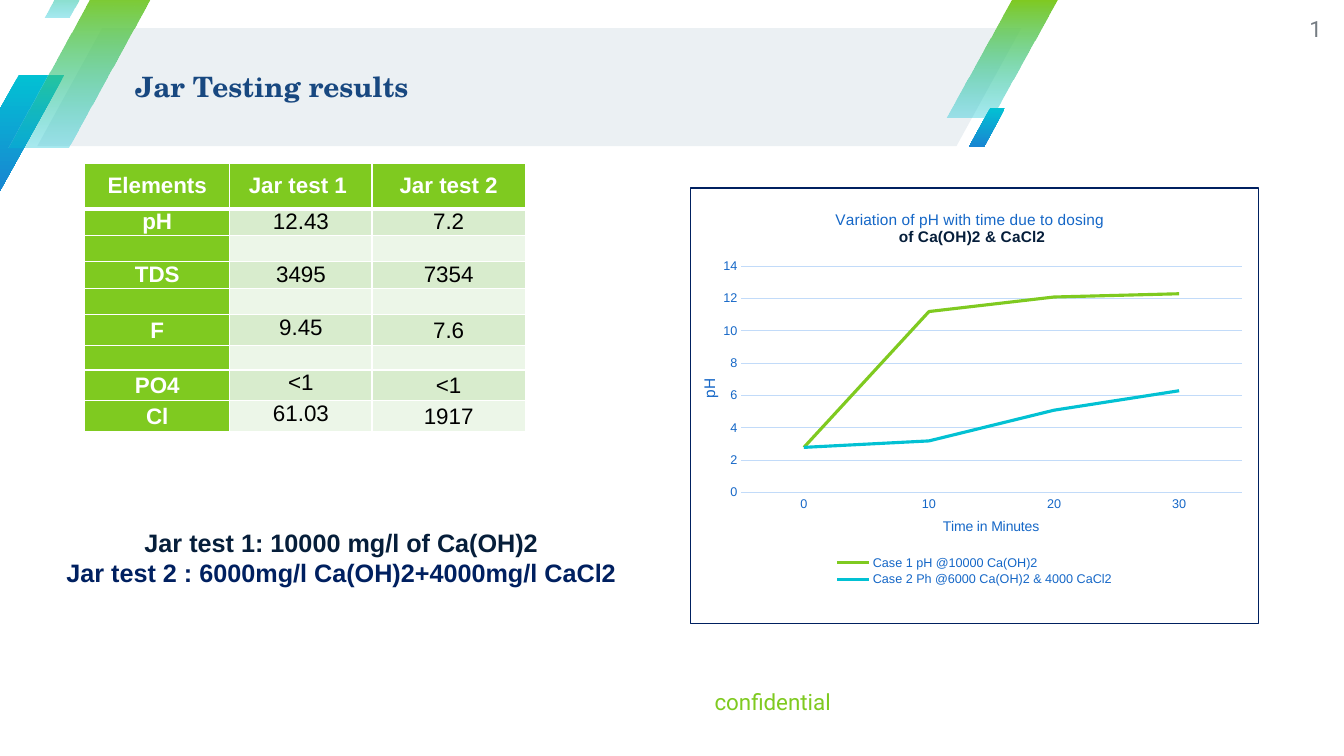
from dataclasses import dataclass

from pptx import Presentation
from pptx.chart.data import CategoryChartData as ChartData
from pptx.dml.color import RGBColor as Rgb
from pptx.enum.chart import XL_CHART_TYPE as Kind, XL_LEGEND_POSITION as Side, XL_TICK_MARK as Tick
from pptx.enum.shapes import MSO_SHAPE as Shape
from pptx.enum.text import MSO_ANCHOR as Anchor, PP_ALIGN as Align
from pptx.oxml import parse_xml
from pptx.oxml.ns import nsdecls, qn
from pptx.util import Inches, Pt

GREEN, TEAL, BLUE, GRID = "7FCA20", "02C1D3", "1567C7", "C2DBF9"
NAVY, WHITE, BLACK = "061E3A", "FFFFFF", "000000"


@dataclass
class Box:
    x: float
    y: float
    w: float
    h: float

    def inch(self) -> tuple:
        return Inches(self.x), Inches(self.y), Inches(self.w), Inches(self.h)


@dataclass
class Style:
    size: float
    ink: str
    bold: bool = False
    face: str = "Arial"


@dataclass
class Slant:
    box: Box
    skew: float
    top: str
    base: str
    clear: int = 100


@dataclass
class Trend:
    name: str
    ink: str
    vals: tuple


SLANTS = [
    Slant(Box(0.37, 0.28, 9.76, 1.17), 0.55, "EBF0F3", "EBF0F3"),
    Slant(Box(-0.46, 0.74, 1.1, 1.17), 0.59, TEAL, "1985D2"),
    Slant(Box(9.39, 0, 1.1, 1.17), 0.59, GREEN, TEAL, 34),
    Slant(Box(0.08, -0.1, 1.46, 1.56), 0.59, GREEN, TEAL, 34),
    Slant(Box(0.44, -0.48, 0.61, 0.65), 0.59, GREEN, TEAL, 34),
    Slant(Box(9.61, 1.07, 0.36, 0.39), 0.59, TEAL, "1985D2"),
]
TESTS = [
    ("Elements", "Jar test 1 ", "Jar test 2"),
    ("pH", "12.43", "7.2"),
    ("", "", ""),
    ("TDS", "3495", "7354"),
    ("", "", ""),
    ("F", "9.45", "7.6"),
    ("", "", ""),
    ("PO4", "<1", "<1"),
    ("Cl", "61.03", "1917"),
]
WIDTHS = (1.44, 1.41, 1.52)
HEIGHTS = (0.45, 0.26, 0.26, 0.26, 0.26, 0.28, 0.24, 0.29, 0.28)
TRENDS = [
    Trend("Case 1 pH @10000 Ca(OH)2", GREEN, (2.8, 11.2, 12.1, 12.3)),
    Trend("Case 2 Ph @6000 Ca(OH)2 & 4000 CaCl2", TEAL, (2.8, 3.2, 5.1, 6.3)),
]


def tint(code: str) -> Rgb:
    return Rgb.from_string(code)


def dress(font, style: Style) -> None:
    font.size, font.bold, font.name = Pt(style.size), style.bold, style.face
    font.color.rgb = tint(style.ink)


def write(frame, lines: list, align=None) -> None:
    for i, (text, style) in enumerate(lines):
        para = frame.paragraphs[0] if i == 0 else frame.add_paragraph()
        para.alignment = align
        run = para.add_run()
        run.text = text
        dress(run.font, style)


def trim(frame, pad: float, anchor) -> None:
    frame.word_wrap = True
    frame.vertical_anchor = anchor
    frame.margin_left = frame.margin_right = Inches(pad)
    frame.margin_top = frame.margin_bottom = Inches(pad / 2)


def add_text(slide, box: Box, lines: list, align, pad: float = 0, anchor=Anchor.MIDDLE) -> None:
    frame = slide.shapes.add_textbox(*box.inch()).text_frame
    trim(frame, pad, anchor)
    write(frame, lines, align)


def add_slant(slide, item: Slant) -> None:
    shape = slide.shapes.add_shape(Shape.PARALLELOGRAM, *item.box.inch())
    shape.adjustments[0] = item.skew
    shape.shadow.inherit = False
    shape.line.fill.background()
    if item.top == item.base:
        shape.fill.solid()
        shape.fill.fore_color.rgb = tint(item.top)
        return
    shape.fill.gradient()
    shape.fill.gradient_angle = 270
    for stop, code in zip(shape.fill.gradient_stops, (item.top, item.base)):
        stop.color.rgb = tint(code)
    if item.clear < 100:
        last = shape._element.spPr.findall(".//" + qn("a:srgbClr"))[-1]
        last.append(parse_xml(f'<a:alpha {nsdecls("a")} val="{item.clear * 1000}"/>'))


def edge(cell, row: int) -> None:
    thick = {"T": 3 if row == 1 else 1, "B": 3 if row == 0 else 1}
    for i, side in enumerate("LRTB"):
        width = Pt(thick.get(side, 1))
        cell._tc.get_or_add_tcPr().insert(i, parse_xml(
            f'<a:ln{side} {nsdecls("a")} w="{width}"><a:solidFill>'
            f'<a:srgbClr val="{WHITE}"/></a:solidFill></a:ln{side}>'))


def add_grid(slide) -> None:
    box = Box(0.84, 1.62, sum(WIDTHS), sum(HEIGHTS))
    grid = slide.shapes.add_table(len(TESTS), len(WIDTHS), *box.inch()).table
    grid.horz_banding = False
    for col, width in zip(grid.columns, WIDTHS):
        col.width = Inches(width)
    for r, (texts, height) in enumerate(zip(TESTS, HEIGHTS)):
        grid.rows[r].height = Inches(height)
        for c, text in enumerate(texts):
            cell = grid.cell(r, c)
            head = r == 0 or c == 0
            low = r >= 5 and not head
            cell.margin_left = cell.margin_right = Inches(0.03)
            cell.margin_top = cell.margin_bottom = 0
            cell.vertical_anchor = Anchor.TOP if low else Anchor.MIDDLE
            cell.fill.solid()
            cell.fill.fore_color.rgb = tint(GREEN if head else "D8ECCD" if r % 2 else "ECF6E8")
            edge(cell, r)
            para = cell.text_frame.paragraphs[0]
            if text:
                write(cell.text_frame, [(text, Style(16, WHITE if head else BLACK, head))], Align.CENTER)
                if low and c == 2:
                    para.line_spacing = 1.15
            else:
                para._p.append(parse_xml(f'<a:endParaRPr {nsdecls("a")} sz="1000"/>'))


def place(node, x: float, y: float, size: tuple = (), inner: bool = False) -> None:
    old = node.find(qn("c:layout"))
    if old is not None:
        node.remove(old)
    parts = [("xMode", "edge"), ("yMode", "edge"), ("x", x), ("y", y), *zip("wh", size)]
    if inner:
        parts.insert(0, ("layoutTarget", "inner"))
    body = "".join(f'<c:{tag} val="{val}"/>' for tag, val in parts)
    first = node[0].tag if len(node) else ""
    spot = 1 if first in (qn("c:tx"), qn("c:legendPos")) else 0
    node.insert(spot, parse_xml(
        f'<c:layout {nsdecls("c")}><c:manualLayout>{body}</c:manualLayout></c:layout>'))


def add_axis(axis, name: str, size: float, x: float, y: float) -> None:
    write(axis.axis_title.text_frame, [(name, Style(size, BLUE))])
    place(axis.axis_title._element, x, y)
    axis.major_tick_mark = axis.minor_tick_mark = Tick.NONE
    dress(axis.tick_labels.font, Style(9, BLUE))


def rule(line, code: str, width: float) -> None:
    line.color.rgb = tint(code)
    line.width = Pt(width)


def add_plot(slide) -> None:
    data = ChartData()
    data.categories = ["0", "10", "20", "30"]
    for trend in TRENDS:
        data.add_series(trend.name, trend.vals)
    chart = slide.shapes.add_chart(Kind.LINE, *Box(6.84, 1.86, 5.65, 4.33).inch(), data).chart
    dress(chart.font, Style(10, NAVY))
    write(chart.chart_title.text_frame, [
        ("Variation of pH with time due to dosing ", Style(11, BLUE)),
        ("of Ca(OH)2 & CaCl2", Style(11, NAVY, True))], Align.CENTER)
    place(chart.chart_title._element, 0.25, 0.04)
    add_axis(chart.category_axis, "Time in Minutes", 10, 0.44, 0.75)
    add_axis(chart.value_axis, "pH", 11, 0.01, 0.43)
    rule(chart.category_axis.format.line, GRID, 0.75)
    rule(chart.value_axis.major_gridlines.format.line, GRID, 0.75)
    chart.value_axis.format.line.fill.background()
    chart.value_axis.minimum_scale, chart.value_axis.maximum_scale = 0, 14
    chart.value_axis.major_unit = 2
    chart.has_legend = True
    chart.legend.position = Side.BOTTOM
    chart.legend.include_in_layout = False
    dress(chart.legend.font, Style(9, BLUE))
    place(chart.legend._element, 0.25, 0.84, (0.5, 0.08))
    chart.plots[0].vary_by_categories = False
    for line, trend in zip(chart.plots[0].series, TRENDS):
        line.smooth = False
        rule(line.format.line, trend.ink, 2.25)
    root = chart._chartSpace
    place(root.chart.plotArea, 0.09, 0.18, (0.88, 0.52), True)
    root.find(qn("c:txPr")).addprevious(parse_xml(
        f'<c:spPr {nsdecls("c", "a")}><a:noFill/><a:ln w="{Pt(0.75)}"><a:solidFill>'
        '<a:srgbClr val="002060"/></a:solidFill></a:ln></c:spPr>'))


def main() -> None:
    deck = Presentation()
    deck.slide_width, deck.slide_height = Inches(13.33), Inches(7.5)
    slide = deck.slides.add_slide(deck.slide_layouts[5])
    for item in SLANTS:
        add_slant(slide, item)
    title = slide.shapes.title
    title.left, title.top, title.width, title.height = Box(1.34, 0.26, 8.79, 1.19).inch()
    trim(title.text_frame, 0, Anchor.MIDDLE)
    write(title.text_frame, [("Jar Testing results", Style(20, "184880", True, "TeX Gyre Schola"))], Align.LEFT)
    slide.shapes._spTree.append(title._element)
    add_text(slide, Box(4.67, 6.67, 3.57, 0.57), [("confidential", Style(16, GREEN, face="Roboto"))], Align.RIGHT)
    add_text(slide, Box(12.48, 0, 0.63, 0.57), [("1", Style(16, "757C83", face="Roboto"))], Align.RIGHT)
    add_grid(slide)
    add_text(slide, Box(0.28, 4.87, 6.21, 1.01), [
        ("Jar test 1: 10000 mg/l of Ca(OH)2", Style(18, NAVY, True)),
        ("Jar test 2 : 6000mg/l Ca(OH)2+4000mg/l CaCl2", Style(18, "002060", True)),
    ], Align.CENTER, 0.1, Anchor.BOTTOM)
    add_plot(slide)
    deck.save("out.pptx")


if __name__ == "__main__":
    main()
